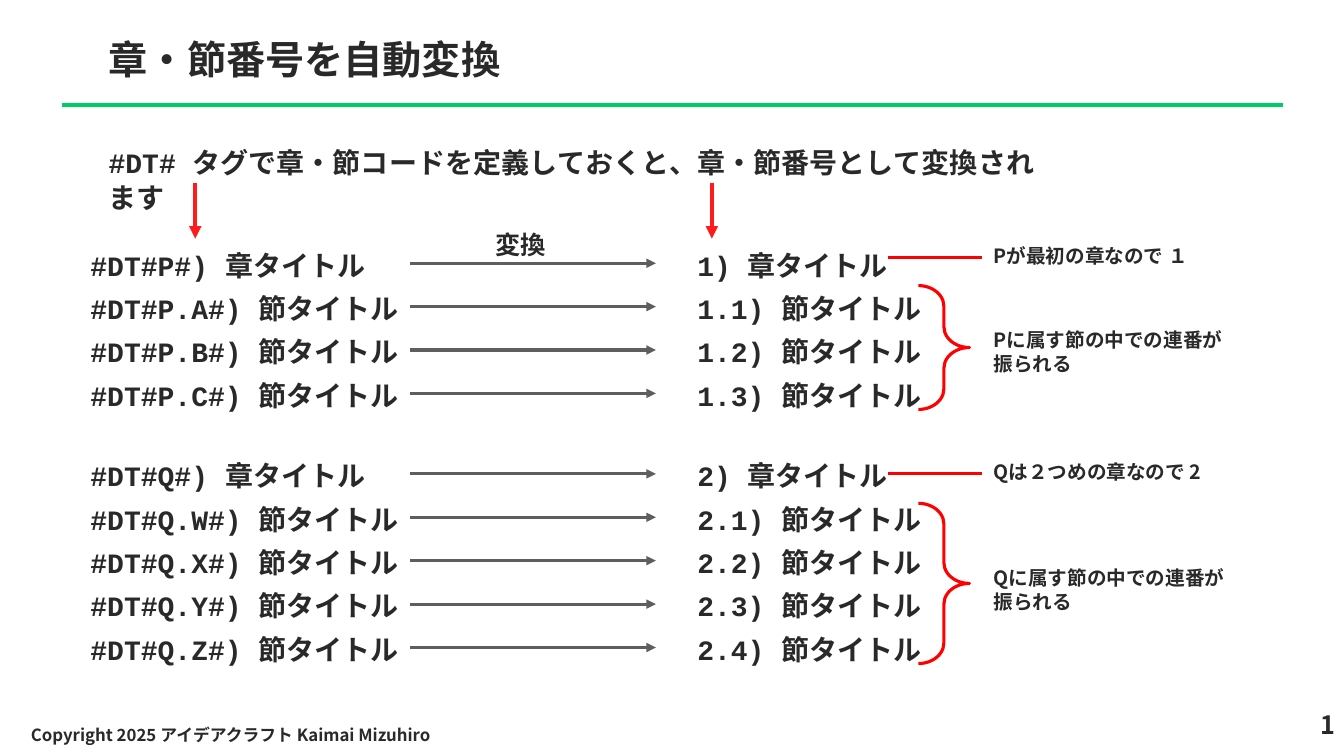
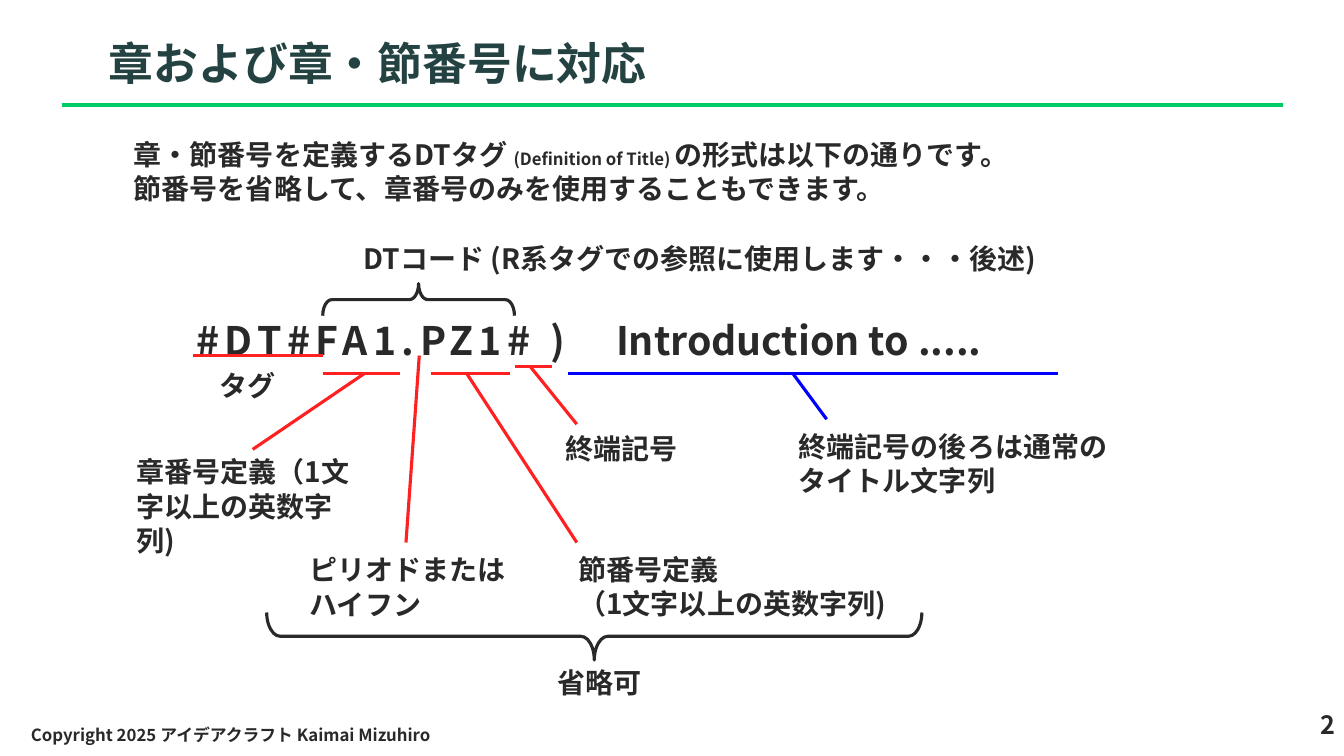
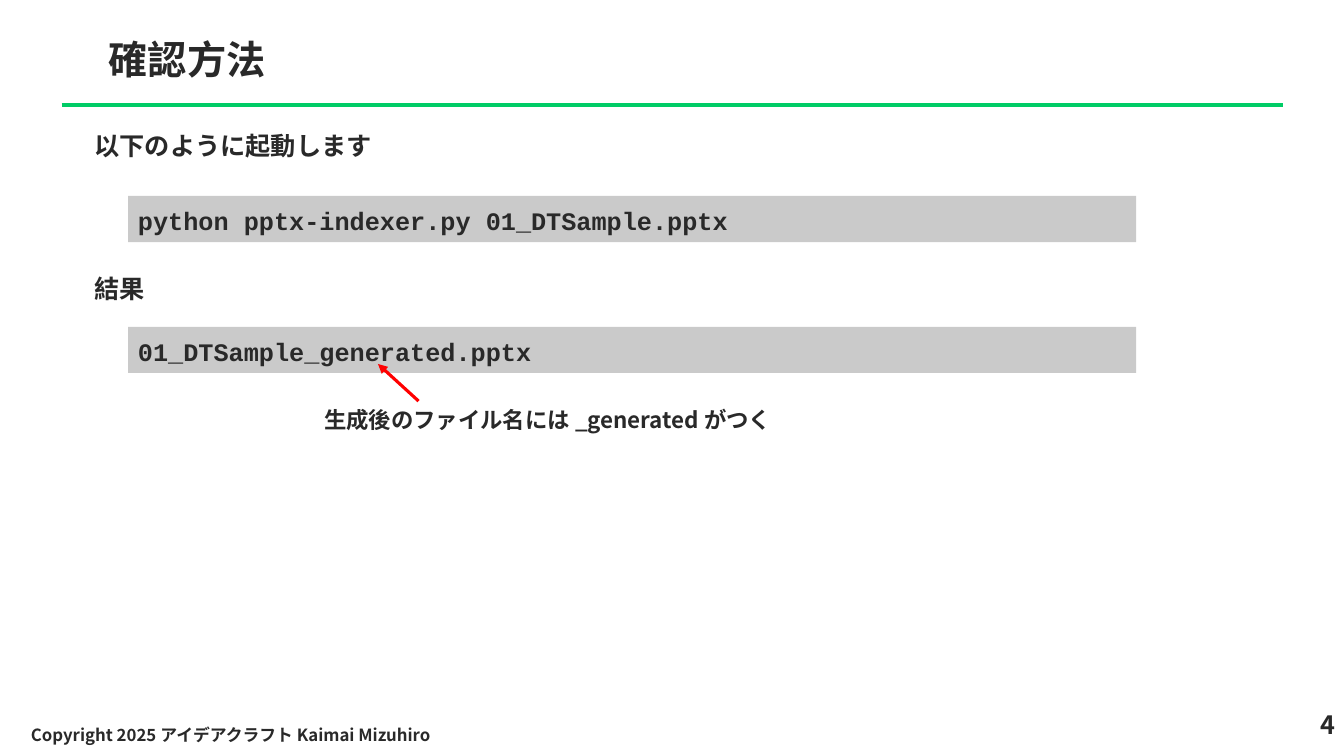
from lxml.etree import SubElement
from pptx import Presentation
from pptx.dml.color import RGBColor
from pptx.enum.shapes import MSO_CONNECTOR as Connector, MSO_SHAPE as Preset
from pptx.enum.text import MSO_ANCHOR as Anchor, PP_ALIGN as Align
from pptx.oxml.ns import qn
from pptx.util import Pt

COLORS = {
    "ink": "292929", "teal": "244242", "rule": "00CC66", "arrow": "5E5E5E",
    "pointer": "FF1B1B", "mark": "FF2121", "red": "FF0000", "blue": "0000FF",
    "code": "CACACA",
}
SANS, MONO = "Noto Sans CJK JP", "Courier New"
LEADING = {SANS: 1.22, MONO: 1.28}
TITLE_FRAME = (70.5, 21, 862.5, 51)
NUMBER_FRAME = (843, 502.5, 118, 36)
COPYRIGHT_FRAME = (15, 510, 436, 29)
COPYRIGHT = "Copyright 2025 アイデアクラフト Kaimai Mizuhiro"

# Slide 1
SUMMARY = "#DT# タグで章・節コードを定義しておくと、章・節番号として変換されます"
POINTERS_X = (139.5, 508.5)
CHAPTERS = [
    {"code": "P", "sections": "ABC", "top": 172, "link_y": 184,
     "brace": (204, 88.5),
     "notes": [(170.5, "Pが最初の章なので １"),
               (230.5, "Pに属す節の中での連番が振られる")]},
    {"code": "Q", "sections": "WXYZ", "top": 322.5, "link_y": 338.5,
     "brace": (359.5, 114.5),
     "notes": [(324.5, "Qは２つめの章なので 2"),
               (400.5, "Qに属す節の中での連番が振られる")]},
]
ROW_STEP, ROW_HEIGHT, ROW_WIDTH = 31, 31.5, 312
TAG_LEFT, RESULT_LEFT, NOTE_LEFT = 57.5, 491, 702.5

# Slide 2: (frame, paragraphs); a paragraph is a list of (text, run format)
INTRO = [
    [("章・節番号を定義するDTタグ ", {}), ("(Definition of Title) ", {"size": 12}),
     ("の形式は以下の通りです。", {})],
    [("節番号を省略して、章番号のみを使用することもできます。", {})],
]
EXAMPLE = [[("#DT#FA1.PZ1# )　", {"spacing": 4}), ("Introduction to .....", {})]]
LABELS = [
    ((88.5, 94.5, 754, 55.5), INTRO),
    ((150, 259, 57.5, 31.5), "タグ"),
    ((214, 391, 161.5, 55.5), "ピリオドまたはハイフン"),
    ((90.5, 321, 180, 55.5), "章番号定義（1文字以上の英数字列)"),
    ((406, 390.5, 253.5, 55.5), "節番号定義\n（1文字以上の英数字列)"),
    ((396.5, 304.5, 121, 31.5), "終端記号"),
    ((391, 471.5, 88, 31.5), "省略可"),
    ((563.5, 303, 238.5, 55.5), "終端記号の後ろは通常のタイトル文字列"),
    ((252.5, 168.5, 630, 31.5), "DTコード (R系タグでの参照に使用します・・・後述)"),
]
UNDERLINES = [  # left, right, y, colour
    (138, 230.5, 254, "mark"), (230.5, 286, 266.5, "mark"),
    (308, 364.5, 266.5, "mark"), (368, 394, 261.5, "mark"),
    (406, 756, 266.5, "blue"),
]
LEADERS = [  # label end, code end, colour
    ((290, 387.5), (299.5, 254), "mark"), ((180.5, 321), (260, 267), "mark"),
    ((412, 387.5), (333.5, 267), "mark"), ((412, 303), (378.5, 261.5), "mark"),
    ((590.5, 299.5), (566.5, 267), "blue"),
]
CODE_BRACES = [((407.5, 220.5, 34, 468), 90), ((287.5, 145.5, 23, 137), 270)]

# Slide 3
STEPS = [
    ((60.5, 89.5, 822, 33), "以下のように起動します",
     140, "python pptx-indexer.py 01_DTSample.pptx"),
    ((60.5, 191.5, 102, 33), "結果", 233.5, "01_DTSample_generated.pptx"),
]
RESULT_NOTE = "生成後のファイル名には _generated がつく"


def rgb(name):
    return RGBColor.from_string(COLORS[name])


def points(values):
    return [Pt(value) for value in values]


def write(frame, text, size=20, font=SANS, color="ink", align=Align.LEFT):
    """Fill a text frame from a string or from lists of formatted runs."""
    if isinstance(text, str):
        text = [[(line, {})] for line in text.split("\n")]
    frame.word_wrap = True
    for i, spans in enumerate(text):
        paragraph = frame.add_paragraph() if i else frame.paragraphs[0]
        layout = {"alignment": align, "space_before": Pt(0),
                  "line_spacing": Pt(round(size * LEADING[font], 1))}
        for key, value in layout.items():
            setattr(paragraph, key, value)
        for content, special in spans:
            run = paragraph.add_run()
            run.text = content
            run.font.color.rgb = rgb(color)
            look = {"size": Pt(special.get("size", size)), "bold": True, "name": font}
            for key, value in look.items():
                setattr(run.font, key, value)
            properties = run._r.get_or_add_rPr()
            SubElement(properties, qn("a:ea")).set("typeface", font)
            if "spacing" in special:
                properties.set("spc", str(special["spacing"] * 100))


def add_text(slide, frame, text, anchor=Anchor.TOP, **look):
    box = slide.shapes.add_textbox(*points(frame))
    write(box.text_frame, text, **look)
    box.text_frame.vertical_anchor = anchor


def add_line(slide, start, end, color, width=2.25, arrow=False):
    line = slide.shapes.add_connector(Connector.STRAIGHT, *points(start + end))
    line.line.color.rgb = rgb(color)
    line.line.width = Pt(width)
    properties = line.element.spPr
    if arrow:
        SubElement(properties.find(qn("a:ln")), qn("a:tailEnd")).set("type", "triangle")
    SubElement(properties, qn("a:effectLst"))
    return line


def add_brace(slide, frame, curl, color, rotation=0):
    brace = slide.shapes.add_shape(Preset.RIGHT_BRACE, *points(frame))
    brace.shadow.inherit = False
    brace.fill.background()
    brace.line.color.rgb = rgb(color)
    brace.line.width = Pt(2.25)
    brace.adjustments[0] = curl
    brace.rotation = rotation


def add_code(slide, top, command):
    band = slide.shapes.add_shape(Preset.RECTANGLE, *points((91.5, top, 720, 33)))
    band.shadow.inherit = False
    band.fill.solid()
    band.fill.fore_color.rgb = rgb("code")
    band.line.fill.background()
    write(band.text_frame, command, size=18, font=MONO)
    band.text_frame.vertical_anchor = Anchor.MIDDLE


def new_slide(prs, title, number, size=28, color="ink"):
    slide = prs.slides.add_slide(prs.slide_layouts[5])
    heading = slide.shapes.title
    for key, value in zip(("left", "top", "width", "height"), points(TITLE_FRAME)):
        setattr(heading, key, value)
    heading.text_frame.vertical_anchor = Anchor.TOP
    write(heading.text_frame, title, size=size, color=color)
    add_text(slide, NUMBER_FRAME, str(number), size=18, align=Align.RIGHT)
    add_text(slide, COPYRIGHT_FRAME, COPYRIGHT, Anchor.MIDDLE, size=12)
    return slide


def add_layout_rule(slide):
    """Draw the title rule and move it to the shared layout."""
    rule = add_line(slide, (44, 75), (916.5, 75), "rule")
    slide.slide_layout.element.cSld.spTree.append(rule.element)


def build_conversion(prs):
    slide = new_slide(prs, "章・節番号を自動変換", 1)
    add_layout_rule(slide)
    add_text(slide, (70.5, 98.5, 689, 31.5), SUMMARY, font=MONO)
    for x in POINTERS_X:
        add_line(slide, (x, 130.5), (x, 170.5), "pointer", 3, arrow=True)
    for number, chapter in enumerate(CHAPTERS, 1):
        code = chapter["code"]
        rows = [(f"#DT#{code}#) 章タイトル", f"{number}) 章タイトル")]
        rows += [(f"#DT#{code}.{section}#) 節タイトル", f"{number}.{i}) 節タイトル")
                 for i, section in enumerate(chapter["sections"], 1)]
        for i, (tag, result) in enumerate(rows):
            top = chapter["top"] + i * ROW_STEP
            for left, text in ((TAG_LEFT, tag), (RESULT_LEFT, result)):
                add_text(slide, (left, top, ROW_WIDTH, ROW_HEIGHT), text, font=MONO)
            add_line(slide, (293, top + 16), (468.5, top + 16), "arrow", arrow=True)
        y = chapter["link_y"]
        add_line(slide, (634.5, y), (701.5, y), "red")
        top, height = chapter["brace"]
        add_brace(slide, (656, top, 36.5, height), 0.405, "red")
        for top, note in chapter["notes"]:
            add_text(slide, (NOTE_LEFT, top, 187, 41), note, size=14)
    add_text(slide, (346.5, 160, 65.5, 29), "変換", size=18)


def build_tag_format(prs):
    slide = new_slide(prs, "章および章・節番号に対応", 2, size=32, color="teal")
    add_text(slide, (133, 222, 718.5, 41), EXAMPLE, size=28)
    for frame, text in LABELS:
        add_text(slide, frame, text)
    for left, right, y, color in UNDERLINES:
        add_line(slide, (left, y), (right, y), color)
    for start, end, color in LEADERS:
        add_line(slide, start, end, color)
    for frame, rotation in CODE_BRACES:
        add_brace(slide, frame, 0.284, "ink", rotation)


def build_check(prs):
    slide = new_slide(prs, "確認方法", 4)
    for frame, label, top, command in STEPS:
        add_text(slide, frame, label, size=18)
        add_code(slide, top, command)
    add_text(slide, (224.5, 286, 414, 26.5), RESULT_NOTE, size=16)
    add_line(slide, (299, 286.5), (270, 260), "red", arrow=True)


def main():
    prs = Presentation()
    prs.slide_width, prs.slide_height = Pt(960), Pt(540)
    for build in (build_conversion, build_tag_format, build_check):
        build(prs)
    prs.save("out.pptx")


if __name__ == "__main__":
    main()
